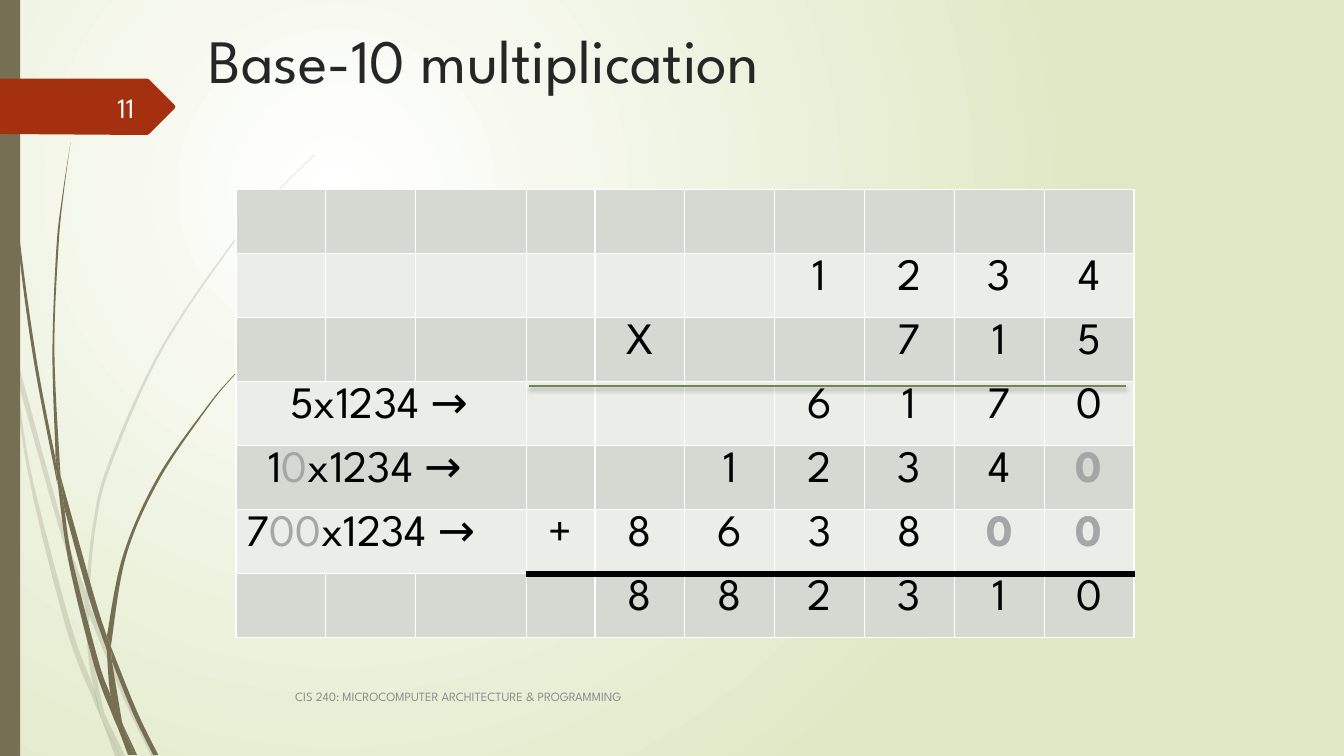
from lxml import etree
from pptx import Presentation, util as u
from pptx.dml.color import RGBColor
from pptx.enum import shapes, text
from pptx.oxml import parse_xml
from pptx.oxml.ns import nsdecls, qn

WHITE = RGBColor(0xFF, 0xFF, 0xFF)
BLACK = RGBColor(0, 0, 0)
MEADOW = RGBColor(0xDF, 0xE8, 0xC4)
BARK = RGBColor(0x76, 0x6F, 0x54)
RUST = RGBColor(0xA5, 0x30, 0x10)
TITLE = RGBColor(0x26, 0x26, 0x26)
NUMBER = RGBColor(0xFE, 0xFF, 0xFF)
FOOTER = RGBColor(0x8C, 0x8C, 0x8C)
PADDING = RGBColor(0xA6, 0xA6, 0xA6)
RULE = RGBColor(0x72, 0x86, 0x53)
BANDS = (RGBColor(0xD5, 0xD9, 0xD1), RGBColor(0xEB, 0xED, 0xE9))
COLS, ROWS = 13.33, 7.5

# Each wisp piece has two edges: one followed out, the other followed back
PALE_WISPS = [
    ([(.11, 3.5), (.09, 3.22), (0, 2.82)], [(0, 2.99), (.1, 3.44)]),
    ([(.17, 3.76), (.58, 5.22), (.84, 5.99)], [(.85, 5.86), (.62, 5.2), (.14, 3.45)]),
    ([(.88, 6.1), (1.23, 6.94), (1.5, 7.5)],
     [(1.55, 7.5), (1.27, 6.92), (.92, 6.07), (.88, 5.96)]),
    ([(1.05, 7.11), (1.19, 7.5)], [(1.24, 7.5)]),
    ([(.11, 3.5), (.28, 4.7), (.65, 6.21), (.92, 6.93), (1.01, 7.14)],
     [(.99, 7.07), (.93, 6.83), (.7, 6.19), (.31, 4.69), (.17, 3.76)]),
    ([(.84, 5.99), (.87, 6.46), (.93, 6.83), (1.05, 7.11)],
     [(1.03, 7.06), (.91, 6.46), (.88, 6.08)]),
    ([(.88, 5.96), (.95, 5.22), (1.1, 4.62), (1.6, 3.49), (2.29, 2.45), (2.68, 1.98), (3.12, 1.54)],
     [(3.12, 1.53), (2.68, 1.97), (2.28, 2.44), (1.58, 3.48), (1.07, 4.61), (.92, 5.22), (.85, 5.86)]),
    ([(1.01, 7.14), (1.14, 7.5)], [(1.19, 7.5)]),
    ([(.84, 5.99), (.88, 6.1)], [(.88, 5.96), (.85, 5.86)]),
    ([(.93, 6.83), (1.01, 7.14), (1.19, 7.5)], [(1.05, 7.11), (.96, 6.92)]),
]
DARK_WISPS = [
    ([(.03, 0), (.04, .48), (.07, 1.1), (.17, 2.33), (.33, 3.55), (.57, 4.81)],
     [(.55, 4.55), (.36, 3.55), (.19, 2.32), (.08, 1.09), (.05, .48), (.04, 0)]),
    ([(.64, 5.05), (.88, 5.92), (1.06, 6.45)], [(1.06, 6.31), (.93, 5.9), (.6, 4.72)]),
    ([(1.11, 6.56), (1.32, 7.08), (1.52, 7.49)],
     [(1.57, 7.49), (1.36, 7.06), (1.13, 6.49), (1.1, 6.41)]),
    ([(.57, 4.77), (.68, 5.57), (.93, 6.59), (1.11, 7.08), (1.17, 7.22)],
     [(1.16, 7.17), (1.1, 6.91), (.98, 6.57), (.72, 5.56), (.64, 5.05)]),
    ([(.6, 4.72), (.54, 3.49), (.58, 2.45), (.63, 1.93), (.7, 1.41)],
     [(.7, 1.41), (.62, 1.93), (.56, 2.45), (.52, 3.49), (.55, 4.49)]),
    ([(1.22, 7.19), (1.33, 7.49)], [(1.36, 7.49)]),
    ([(.55, 4.53), (.57, 4.77), (.64, 5.05)], [(.6, 4.72), (.55, 4.49)]),
    ([(1.1, 6.41), (1.25, 5.52), (1.58, 4.76), (2.05, 4.06), (2.31, 3.74), (2.61, 3.44)],
     [(2.6, 3.44), (2.31, 3.73), (2.04, 4.05), (1.56, 4.74), (1.22, 5.51), (1.06, 6.31)]),
    ([(1.17, 7.22), (1.27, 7.49)], [(1.31, 7.49)]),
    ([(1.06, 6.45), (1.1, 6.91), (1.22, 7.19)], [(1.21, 7.16), (1.11, 6.56)]),
    ([(1.06, 6.31), (1.06, 6.45), (1.11, 6.56)], [(1.1, 6.41)]),
    ([(1.1, 6.91), (1.17, 7.22), (1.3, 7.49)], [(1.33, 7.49), (1.22, 7.19)]),
]
TAG = [(0, .78), (1.46, .78), (1.48, .79), (1.73, 1.04), (1.74, 1.06),
       (1.73, 1.08), (1.48, 1.33), (1.46, 1.34), (0, 1.33)]

# Label runs, label indent, digits ("." is an empty cell), padding zeros
SUM_ROWS = [
    ((), 0, ".......", 0),
    ((), 0, "...1234", 0),
    ((), 0, ".X..715", 0),
    (("5x1234 →",), .44, "...6170", 0),
    (("1", "0", "x1234 →"), .22, "..12340", 1),
    (("7", "00", "x1234 →"), 0, "+863800", 2),
    ((), 0, ".882310", 0),
]
LABEL_COLS, TOTAL_ROW = 3, 6


def smooth(edge):
    """First point of an edge, then two handles and an end for each curve."""
    padded = [edge[0], *edge, edge[-1]]
    curve = [edge[0]]
    for a, b, c, d in zip(padded, padded[1:], padded[2:], padded[3:]):
        curve += [tuple(q + (r - p) / 6 for p, q, r in zip(a, b, c)),
                  tuple(r - (s - q) / 6 for q, r, s in zip(b, c, d)), c]
    return curve


class Board:
    """The current slide on a grid of 13.33 columns by 7.5 rows."""
    font = "League Spartan"

    def __init__(self, prs):
        self.col, self.row = prs.slide_width / COLS, prs.slide_height / ROWS
        self.s = prs.slides.add_slide(prs.slide_layouts[6])

    def box(self, x, y, w, h):
        return [u.Emu(round(v * k)) for v, k in zip((x, y, w, h), (self.col, self.row) * 2)]

    def background(self, inner, outer):
        fill = self.s.background.fill
        fill.gradient()
        grad = self.s.background._cSld.find(".//" + qn("a:gradFill"))
        grad.getparent().replace(grad, parse_xml(
            f'<a:gradFill {nsdecls("a")} rotWithShape="1"><a:gsLst>'
            f'<a:gs pos="0"><a:srgbClr val="{inner}"/></a:gs>'
            f'<a:gs pos="100000"><a:srgbClr val="{outer}"/></a:gs></a:gsLst><a:path path="circle">'
            '<a:fillToRect l="50000" t="50000" r="100000" b="100000"/></a:path></a:gradFill>'))

    def paint(self, sp, color, alpha=None):
        sp.shadow.inherit = False
        sp.fill.solid()
        sp.fill.fore_color.rgb = color
        sp.line.fill.background()
        if alpha:
            clr = sp._element.spPr.find(".//" + qn("a:srgbClr"))
            etree.SubElement(clr, qn("a:alpha")).set("val", str(alpha * 1000))

    def rect(self, x, y, w, h, color):
        self.paint(self.s.shapes.add_shape(shapes.MSO_SHAPE.RECTANGLE, *self.box(x, y, w, h)), color)

    def outline(self, points, color, alpha=None, parent=None):
        pts = [(round(x * self.col), round(y * self.row)) for x, y in points]
        fb = (parent or self.s).shapes.build_freeform(*pts[0], scale=1.0)
        fb.add_line_segments(pts[1:], close=True)
        sp = fb.convert_to_shape()
        self.paint(sp, color, alpha)
        return sp

    def wisps(self, pieces, color, alpha=None):
        grp = self.s.shapes.add_group_shape()
        for out, back in pieces:
            tip = [out[-1], back[0]]
            sp = self.outline(smooth(out) + tip + smooth(back), color, alpha, grp)
            lines = iter(sp._element.findall(".//" + qn("a:lnTo")))
            for first, second, end in zip(lines, lines, lines):
                first.tag = qn("a:cubicBezTo")
                for ln in (second, end):
                    first.append(ln[0])
                    ln.getparent().remove(ln)

    def run(self, p, words, size, color, bold=False):
        r = p.add_run()
        r.text, r.font.name, r.font.size, r.font.bold = words, self.font, u.Pt(size), bold
        r.font.color.rgb = color

    def label(self, x, y, w, h, words, size, color, anchor=text.MSO_ANCHOR.MIDDLE,
              align=text.PP_ALIGN.LEFT):
        tf = self.s.shapes.add_textbox(*self.box(x, y, w, h)).text_frame
        tf.word_wrap, tf.vertical_anchor = True, anchor
        tf.paragraphs[0].alignment = align
        self.run(tf.paragraphs[0], words, size, color)

    def border(self, cell, side, color, width):
        cell._tc.get_or_add_tcPr().append(parse_xml(
            f'<a:ln{side} {nsdecls("a")} w="{u.Pt(width)}"><a:solidFill>'
            f'<a:srgbClr val="{color}"/></a:solidFill></a:ln{side}>'))

    def sum_table(self, x, y, w, h, size=32):
        digit_w = (w - 1.1 - .68) / 8
        widths = [digit_w] * 2 + [1.1, .68] + [digit_w] * 6
        tbl = self.s.shapes.add_table(len(SUM_ROWS), len(widths), *self.box(x, y, w, h)).table
        tbl.first_row = tbl.horz_banding = False
        for column, width in zip(tbl.columns, widths):
            column.width = u.Emu(round(width * self.col))
        for i, (words, indent, digits, pads) in enumerate(SUM_ROWS):
            for j in range(len(widths)):
                cell = tbl.cell(i, j)
                heavy = {TOTAL_ROW - 1: "B", TOTAL_ROW: "T"}.get(i) if j >= LABEL_COLS else None
                for side in "LRTB":
                    self.border(cell, side, *((BLACK, 4.5) if side == heavy else (WHITE, 1)))
                cell.fill.solid()
                cell.fill.fore_color.rgb = BANDS[i % 2]
            if words:
                cell = tbl.cell(i, 0)
                cell.merge(tbl.cell(i, LABEL_COLS - 1))
                cell.margin_left = u.Inches(.1 + indent)
                for k, part in enumerate(words):
                    self.run(cell.text_frame.paragraphs[0], part, size, PADDING if k == 1 else BLACK)
            for j, digit in enumerate(digits):
                if digit != ".":
                    p = tbl.cell(i, LABEL_COLS + j).text_frame.paragraphs[0]
                    p.alignment = text.PP_ALIGN.CENTER
                    padding = j >= len(digits) - pads
                    self.run(p, digit, size, PADDING if padding else BLACK, padding)

    def rule(self, x1, x2, y, color, width):
        ln = self.s.shapes.add_connector(shapes.MSO_CONNECTOR.STRAIGHT, *self.box(x1, y, x2, y))
        ln.line.color.rgb, ln.line.width = color, u.Pt(width)
        ln._element.spPr.append(parse_xml(
            f'<a:effectLst {nsdecls("a")}><a:outerShdw blurRad="{u.Pt(3)}" dist="{u.Pt(2)}" '
            f'dir="5400000" rotWithShape="0"><a:srgbClr val="{BLACK}"><a:alpha val="25000"/>'
            '</a:srgbClr></a:outerShdw></a:effectLst>'))


def main():
    prs = Presentation()
    prs.slide_width, prs.slide_height = u.Inches(COLS), u.Inches(ROWS)
    board = Board(prs)
    # Backdrop
    board.background(WHITE, MEADOW)
    board.wisps(PALE_WISPS, BARK, 20)
    board.wisps(DARK_WISPS, BARK)
    board.rect(0, 0, .2, ROWS, BARK)
    board.outline(TAG, RUST)
    # Title and slide number
    board.label(1.97, .17, 10.95, 1.4, "Base-10 multiplication", 44, TITLE, text.MSO_ANCHOR.TOP)
    board.label(.58, .86, .85, .4, "11", 20, NUMBER, align=text.PP_ALIGN.RIGHT)
    # Long multiplication
    board.sum_table(2.34, 1.88, 8.91, 4.45)
    board.rule(5.25, 11.17, 3.83, RULE, 1.75)
    # Footer
    board.label(2.83, 6.71, 8.33, .4, "CIS 240: MICROCOMPUTER ARCHITECTURE & PROGRAMMING", 9, FOOTER)
    prs.save("out.pptx")


if __name__ == "__main__":
    main()
